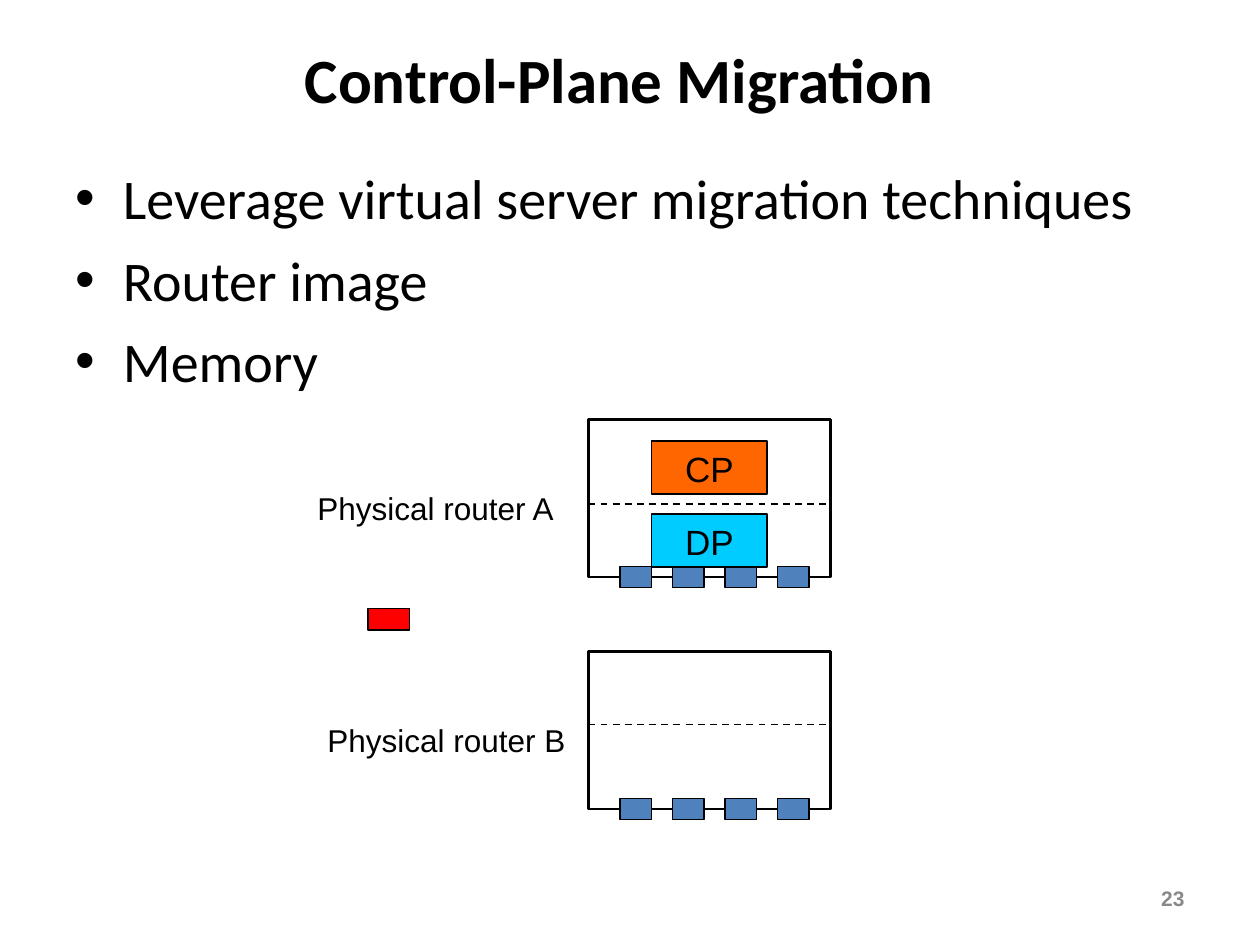
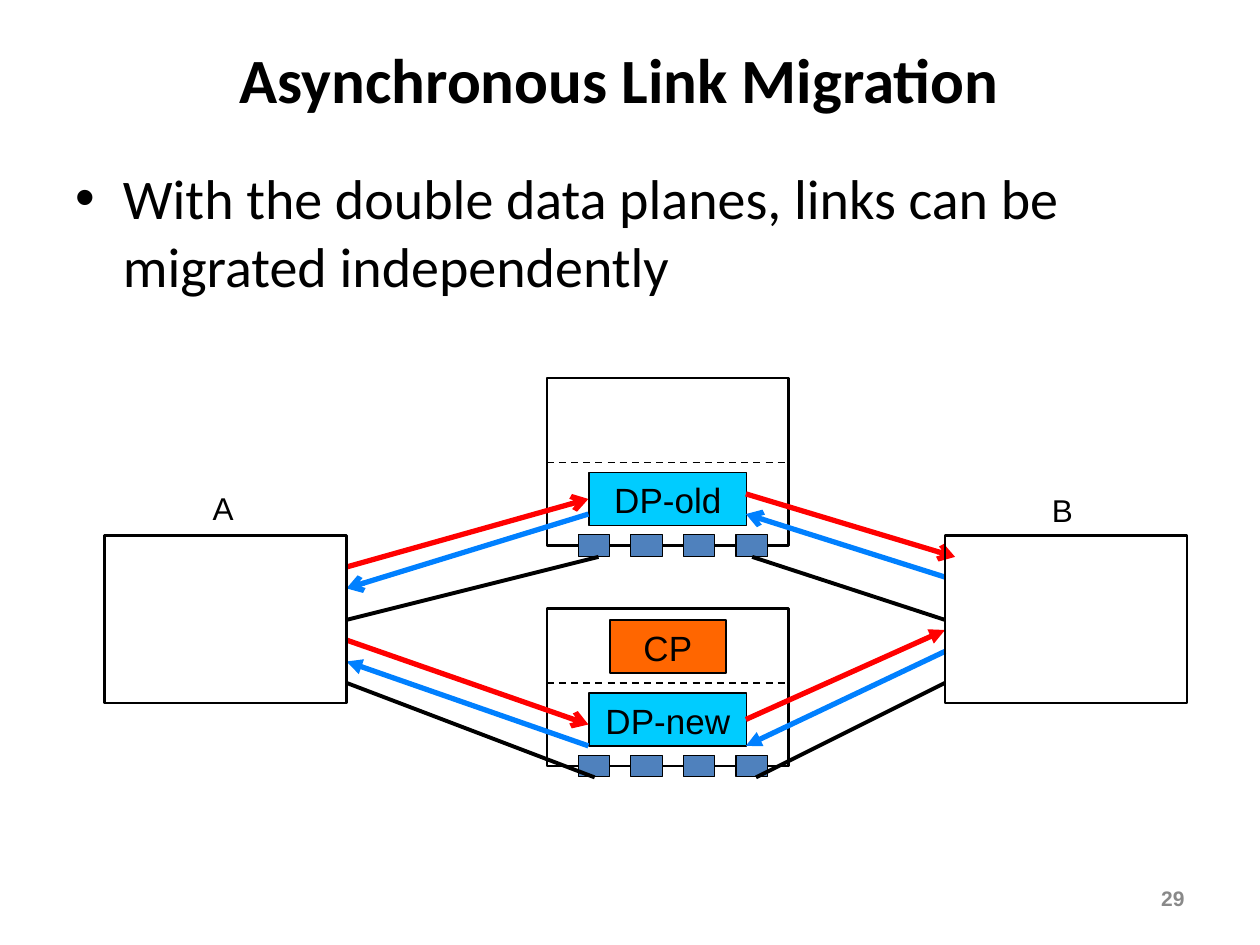
"""Build two slides about migrating routers: control plane and asynchronous links."""
from dataclasses import dataclass

from lxml import etree
from pptx import Presentation
from pptx.dml.color import RGBColor
from pptx.enum.dml import MSO_LINE
from pptx.enum.shapes import MSO_CONNECTOR, MSO_SHAPE
from pptx.enum.text import MSO_ANCHOR, MSO_AUTO_SIZE, PP_ALIGN
from pptx.oxml.ns import qn
from pptx.util import Inches, Pt

RECTANGLE = MSO_SHAPE.RECTANGLE
STRAIGHT = MSO_CONNECTOR.STRAIGHT
DASH = MSO_LINE.DASH
TOP, MIDDLE = MSO_ANCHOR.TOP, MSO_ANCHOR.MIDDLE
LEFT, CENTER, RIGHT = PP_ALIGN.LEFT, PP_ALIGN.CENTER, PP_ALIGN.RIGHT
NO_AUTOFIT = MSO_AUTO_SIZE.NONE
TITLE_AND_CONTENT = 1


@dataclass(frozen=True)
class Theme:
    """Colours, fonts and type sizes of both slides."""
    ink: str = "000000"
    number: str = "898989"
    port: str = "4F81BD"
    control: str = "FF6600"
    data: str = "00CCFF"
    outbound: str = "FF0000"
    inbound: str = "0080FF"
    heading_font: str = "Calibri"
    diagram_font: str = "Arial"
    title_size: int = 36
    body_size: int = 32
    module_size: int = 20
    label_size: int = 18
    number_size: int = 12


THEME = Theme()

TITLE_AREA = (0.25, 0.25, 9.33, 0.75)
BODY_AREA = (0.5, 1.25, 9, 4.95)
NUMBER_AREA = (7.17, 6.93, 2.33, 0.4)

ROUTER_WIDTH = 1.92
MODULE_HEIGHT, MODULE_GAP = 0.42, 0.08
PORT_COUNT, PORT_INSET, PORT_PITCH = 4, 0.25, 1.25 / 3
PORT_WIDTH, PORT_HEIGHT = 0.25, 0.17
LABEL_HEIGHT = 0.4

CONTROL_PLANE = {
    "title": "Control-Plane Migration",
    "number": "23",
    "bullets": ["Leverage virtual server migration techniques", "Router image", "Memory"],
    "routers": [
        {"at": (4.67, 3.33), "height": 1.25, "divider": 4,
         "control": ("CP", 0.92), "data": ("DP", 0.92)},
        {"at": (4.67, 5.17), "height": 1.25, "divider": 5.75},
    ],
    "labels": [("Physical router A", 2.42, 3.83, 2.09),
               ("Physical router B", 2.5, 5.67, 2.09)],
    "packets": [(2.92, 4.83, 0.33, 0.17)],
}

LINK_MIGRATION = {
    "title": "Asynchronous Link Migration",
    "number": "29",
    "bullets": ["With the double data planes, links can be migrated independently"],
    "routers": [
        {"at": (4.34, 3), "height": 1.33, "divider": 3.67, "data": ("DP-old", 1.25)},
        {"at": (4.34, 4.83), "height": 1.25, "divider": 5.42,
         "control": ("CP", 0.92), "data": ("DP-new", 1.25)},
    ],
    "neighbours": [(0.83, 4.25, ROUTER_WIDTH, 1.33), (7.5, 4.25, ROUTER_WIDTH, 1.33)],
    "labels": [("A", 1.59, 3.83, 0.36), ("B", 8.25, 3.85, 0.36)],
    "flows": [
        ((2.75, 4.5), (4.67, 3.96), THEME.outbound, "arrow"),
        ((5.92, 3.92), (7.58, 4.42), THEME.outbound, "arrow"),
        ((4.67, 4.08), (2.75, 4.67), THEME.inbound, "arrow"),
        ((7.5, 4.58), (5.92, 4.08), THEME.inbound, "arrow"),
        ((2.75, 5.08), (4.67, 5.75), THEME.outbound, "arrow"),
        ((5.92, 5.71), (7.5, 5), THEME.outbound, "triangle"),
        ((7.5, 5.17), (5.92, 5.92), THEME.inbound, "triangle"),
        ((4.67, 5.92), (2.75, 5.25), THEME.inbound, "triangle"),
    ],
    "links": [((2.75, 4.92), (4.75, 4.42)), ((5.97, 4.42), (7.5, 4.92)),
              ((2.75, 5.42), (4.72, 6.17)), ((6, 6.17), (7.5, 5.42))],
}


def write(paragraph, text, size, font=THEME.diagram_font, color=THEME.ink,
          bold=False, align=LEFT):
    """Add one formatted run to a paragraph."""
    paragraph.alignment = align
    run = paragraph.add_run()
    run.text = text
    run.font.name, run.font.size, run.font.bold = font, Pt(size), bold
    run.font.color.rgb = RGBColor.from_string(color)


def place(shape, area):
    """Move a placeholder to an area in inches."""
    shape.left, shape.top, shape.width, shape.height = map(Inches, area)
    shape.text_frame.auto_size = NO_AUTOFIT


def add_box(slide, area, fill=None, weight=1.5, text=None):
    """Add an outlined rectangle with optional fill and centred text."""
    box = slide.shapes.add_shape(RECTANGLE, *map(Inches, area))
    box.shadow.inherit = False
    box.line.color.rgb = RGBColor.from_string(THEME.ink)
    box.line.width = Pt(weight)
    if fill:
        box.fill.solid()
        box.fill.fore_color.rgb = RGBColor.from_string(fill)
    else:
        box.fill.background()
    if text:
        box.text_frame.vertical_anchor = TOP
        write(box.text_frame.paragraphs[0], text, THEME.module_size, align=CENTER)


def add_line(slide, start, end, color=THEME.ink, weight=1, dash=None, arrowhead=None):
    """Add a straight line, dashed or with an arrowhead at its end."""
    line = slide.shapes.add_connector(STRAIGHT, *map(Inches, start + end))
    line.line.color.rgb = RGBColor.from_string(color)
    line.line.width = Pt(weight)
    if dash:
        line.line.dash_style = dash
    properties = line._element.spPr
    if arrowhead:
        etree.SubElement(properties.find(qn("a:ln")), qn("a:tailEnd"), type=arrowhead)
    etree.SubElement(properties, qn("a:effectLst"))


def add_text(slide, text, area, size, anchor=TOP, wrap=False, **style):
    """Add a text box with one run."""
    frame = slide.shapes.add_textbox(*map(Inches, area)).text_frame
    frame.word_wrap, frame.vertical_anchor = wrap, anchor
    write(frame.paragraphs[0], text, size, **style)


def add_router(slide, router):
    """Draw a router with its plane divider, ports and modules."""
    left, top = router["at"]
    height, divider = router["height"], router["divider"]
    add_box(slide, (left, top, ROUTER_WIDTH, height))
    add_line(slide, (left, divider), (left + ROUTER_WIDTH, divider), dash=DASH)
    port_top = top + height - PORT_HEIGHT / 2
    for index in range(PORT_COUNT):
        port_left = left + PORT_INSET + index * PORT_PITCH
        add_box(slide, (port_left, port_top, PORT_WIDTH, PORT_HEIGHT), THEME.port, 0.75)
    planes = (("data", divider + MODULE_GAP, THEME.data),
              ("control", divider - MODULE_GAP - MODULE_HEIGHT, THEME.control))
    for plane, module_top, color in planes:
        if plane in router:
            name, width = router[plane]
            module_left = left + (ROUTER_WIDTH - width) / 2
            add_box(slide, (module_left, module_top, width, MODULE_HEIGHT), color, 1, name)


def add_slide(presentation, content):
    """Add a slide with title, bullets, number and router diagram."""
    slide = presentation.slides.add_slide(presentation.slide_layouts[TITLE_AND_CONTENT])
    title, body = slide.shapes.title, slide.placeholders[1]
    place(title, TITLE_AREA)
    title.text_frame.vertical_anchor = MIDDLE
    write(title.text_frame.paragraphs[0], content["title"], THEME.title_size,
          font=THEME.heading_font, bold=True, align=CENTER)
    place(body, BODY_AREA)
    for index, bullet in enumerate(content["bullets"]):
        frame = body.text_frame
        paragraph = frame.add_paragraph() if index else frame.paragraphs[0]
        paragraph.space_before = Pt(8)
        write(paragraph, bullet, THEME.body_size, font=THEME.heading_font)
    add_text(slide, content["number"], NUMBER_AREA, THEME.number_size, MIDDLE, True,
             color=THEME.number, bold=True, align=RIGHT)

    for router in content["routers"]:
        add_router(slide, router)
    for start, end, color, arrowhead in content.get("flows", []):
        add_line(slide, start, end, color, 3, arrowhead=arrowhead)
    for area in content.get("neighbours", []):
        add_box(slide, area)
    for start, end in content.get("links", []):
        add_line(slide, start, end, weight=2.25)
    for text, left, top, width in content["labels"]:
        add_text(slide, text, (left, top, width, LABEL_HEIGHT), THEME.label_size)
    for area in content.get("packets", []):
        add_box(slide, area, THEME.outbound, 1)


def main():
    """Build and save the presentation."""
    presentation = Presentation()
    presentation.slide_width, presentation.slide_height = Inches(10), Inches(7.5)
    for content in (CONTROL_PLANE, LINK_MIGRATION):
        add_slide(presentation, content)
    presentation.save("out.pptx")


if __name__ == "__main__":
    main()
